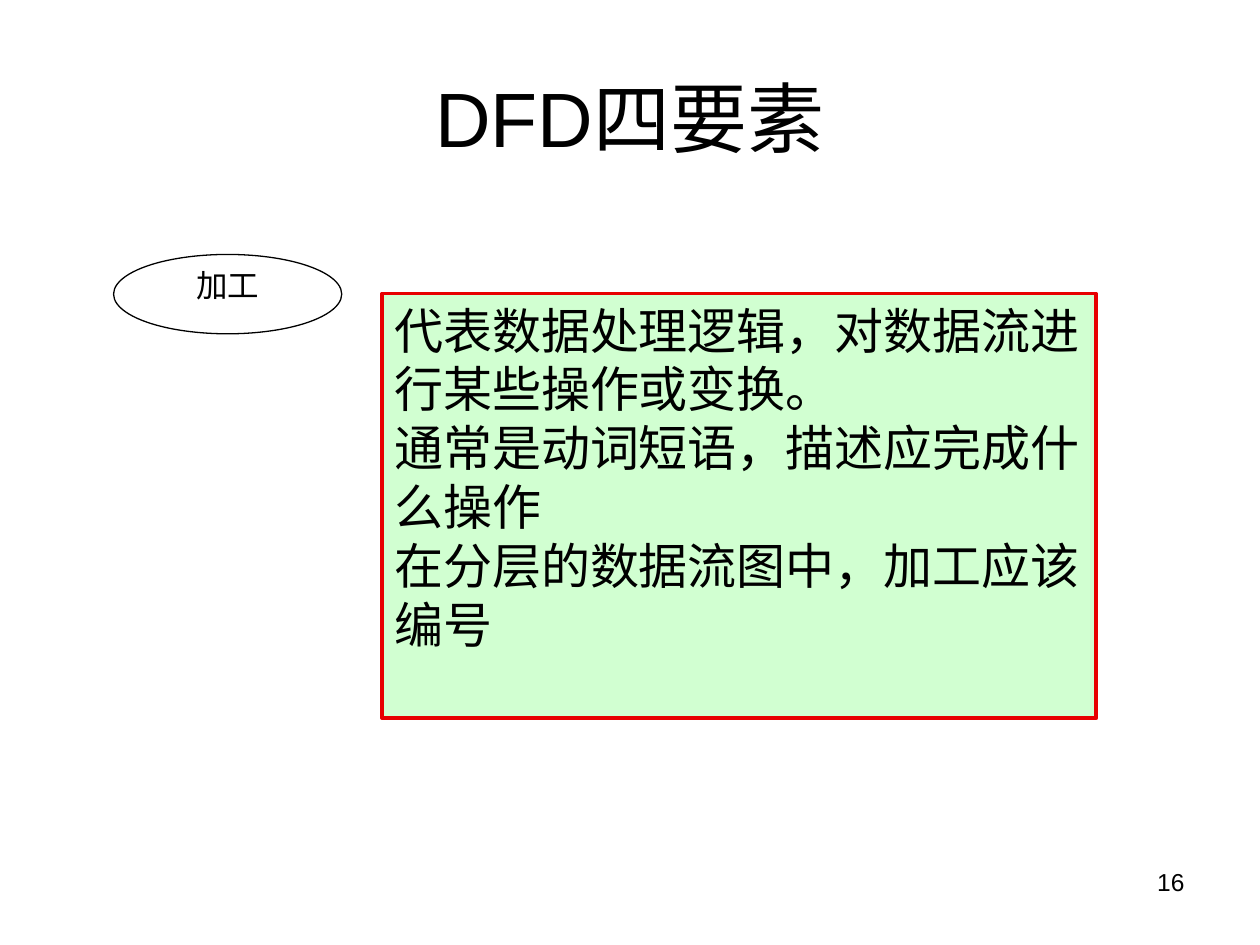
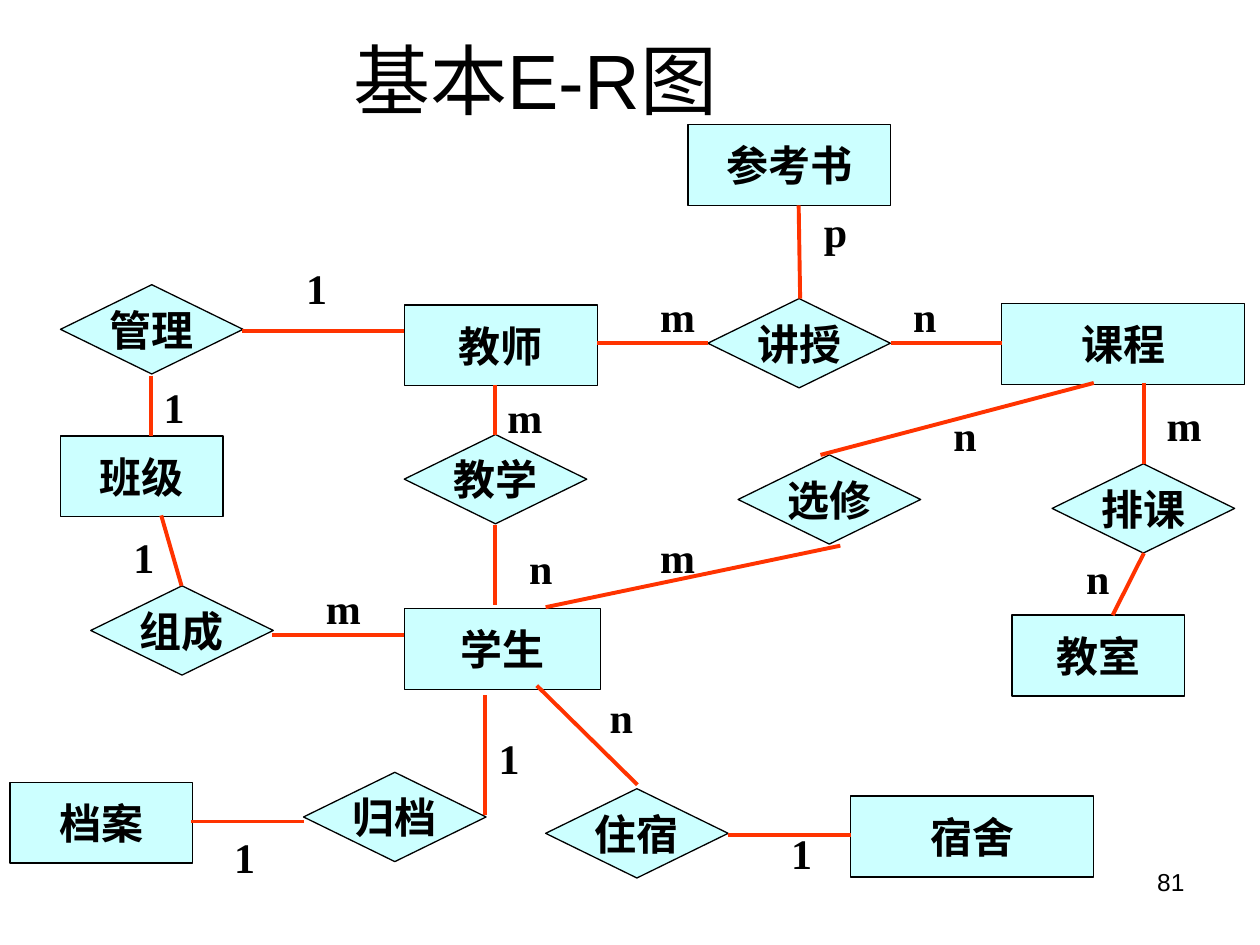
"""Build two slides: the process element of a DFD and a basic E-R diagram."""
import pptx
import pptx.dml.color
import pptx.enum.shapes
import pptx.enum.text
import pptx.oxml.xmlchemy
import pptx.util
from pptx.util import Cm

COLORS = {"text": "000000", "outline": "000000", "ellipse": "FFFFFF", "note": "D1FFD1",
          "note_border": "E70000", "node": "CCFFFF", "link": "FF3300"}
SANS, SERIF = "Arial", "Times New Roman"
SHAPES = pptx.enum.shapes.MSO_SHAPE
ALIGN = pptx.enum.text.PP_ALIGN
ANCHOR = pptx.enum.text.MSO_ANCHOR
NO_MARGIN, MARGINS = (0, 0), (0.25, 0.13)

PROCESS_NAME = "加工"
PROCESS_NOTES = [
    "代表数据处理逻辑，对数据流进行某些操作或变换。",
    "通常是动词短语，描述应完成什么操作",
    "在分层的数据流图中，加工应该编号",
]

ENTITY_HEIGHT = 1.63
ENTITIES = [
    ("学生", 8.15, 12.27, 3.96),
    ("教师", 8.15, 6.15, 3.89),
    ("宿舍", 17.15, 16.05, 4.9),
    ("班级", 1.22, 8.79, 3.28),
    ("档案", 0.2, 15.77, 3.68),
    ("教室", 20.4, 12.4, 3.48),
    ("参考书", 13.87, 2.51, 4.09),
    ("课程", 20.19, 6.12, 4.9),
]

RELATION_SIZE = (3.68, 1.8)
RELATIONS = [
    ("教学", 8.15, 8.76),
    ("组成", 1.83, 11.81),
    ("住宿", 11, 15.9),
    ("归档", 6.12, 15.57),
    ("讲授", 14.27, 6.02),
    ("选修", 14.88, 9.17),
    ("排课", 21.21, 9.35),
    ("管理", 1.22, 5.74),
]

LABEL_HEIGHT = 1.27
NARROW, MEDIUM, WIDE = 0.81, 1.02, 1.37
LINKS = [
    ((6.12, 16.56), (3.86, 16.56), "1", (4.47, 16.64), NARROW),
    ((9.78, 14.02), (9.78, 16.43), "1", (9.58, 14.63), WIDE),
    ((10.82, 13.82), (12.85, 15.82), "n", (12.04, 13.82), NARROW),
    ((14.68, 16.84), (17.15, 16.84), "1", (15.7, 16.56), NARROW),
    ((9.98, 7.77), (9.98, 8.76), "m", (9.98, 7.77), NARROW),
    ((9.98, 10.59), (9.98, 12.19), "n", (10.39, 10.8), MEDIUM),
    ((16.1, 4.14), (16.13, 6.02), "p", (16.36, 4.01), NARROW),
    ((22.05, 7.72), (16.54, 9.17), "n", (18.97, 8.13), NARROW),
    ((12.04, 6.91), (14.27, 6.91), "m", (13.06, 5.72), NARROW),
    ((17.96, 6.91), (20.19, 6.91), "n", (18.16, 5.72), NARROW),
    ((23.06, 7.72), (23.06, 9.35), "m", (23.27, 7.92), NARROW),
    ((23.06, 11.15), (22.43, 12.4), "n", (21.62, 11), MEDIUM),
    ((16.94, 11), (11, 12.24), "m", (13.06, 10.59), NARROW),
    ((3.25, 10.39), (3.66, 11.81), "1", (2.44, 10.59), NARROW),
    ((8.15, 12.8), (5.49, 12.8), "m", (6.32, 11.61), NARROW),
    ((8.15, 6.68), (4.88, 6.68), "1", (5.92, 5.16), NARROW),
    ((3.05, 7.57), (3.05, 8.79), "1", (3.05, 7.57), NARROW),
]


def rgb(name):
    return pptx.dml.color.RGBColor.from_string(COLORS[name])


def write(shape, lines, size, font=SANS, bold=False, align=ALIGN.CENTER,
          anchor=ANCHOR.TOP, margins=MARGINS, wrap=True):
    frame = shape.text_frame
    frame.text = "\n".join(lines)
    frame.auto_size = pptx.enum.text.MSO_AUTO_SIZE.NONE
    frame.word_wrap = wrap
    frame.vertical_anchor = anchor
    frame.margin_left = frame.margin_right = Cm(margins[0])
    frame.margin_top = frame.margin_bottom = Cm(margins[1])
    for paragraph in frame.paragraphs:
        paragraph.alignment = align
        for run in paragraph.runs:
            run.font.name = font
            run.font.size = pptx.util.Pt(size)
            run.font.bold = bold
            run.font.color.rgb = rgb("text")


def add_box(slide, kind, box, fill, border="outline", width=0.75):
    shape = slide.shapes.add_shape(kind, *map(Cm, box))
    shape.shadow.inherit = False
    shape.fill.solid()
    shape.fill.fore_color.rgb = rgb(fill)
    shape.line.color.rgb = rgb(border)
    shape.line.width = pptx.util.Pt(width)
    return shape


def add_text(slide, box, text, size, **style):
    write(slide.shapes.add_textbox(*map(Cm, box)), [text], size, **style)


def add_link(slide, start, end):
    connector = slide.shapes.add_connector(
        pptx.enum.shapes.MSO_CONNECTOR.STRAIGHT, *map(Cm, start + end))
    connector.line.color.rgb = rgb("link")
    connector.line.width = pptx.util.Pt(2.25)
    properties = connector.element.spPr
    properties.append(pptx.oxml.xmlchemy.OxmlElement("a:effectLst"))


def add_titled_slide(presentation, title, box, number):
    slide = presentation.slides.add_slide(presentation.slide_layouts[5])
    placeholder = slide.shapes.title
    placeholder.left, placeholder.top, placeholder.width, placeholder.height = map(Cm, box)
    write(placeholder, [title], 44, anchor=ANCHOR.MIDDLE)
    add_text(slide, (18.2, 17.35, 5.93, 1.32), number, 14, align=ALIGN.RIGHT)
    return slide


def build_process_slide(presentation):
    slide = add_titled_slide(presentation, "DFD四要素", (1.27, 0.76, 22.86, 3.18), "16")
    ellipse = add_box(slide, SHAPES.OVAL, (2.29, 5.13, 4.6, 1.6), "ellipse")
    write(ellipse, [PROCESS_NAME], 18, font=SERIF, margins=NO_MARGIN)
    note = add_box(slide, SHAPES.RECTANGLE, (7.7, 5.92, 14.4, 8.56), "note", "note_border", 2)
    write(note, PROCESS_NOTES, 28, align=ALIGN.LEFT)


def build_er_slide(presentation):
    slide = add_titled_slide(presentation, "基本E-R图", (0, 0, 21.59, 3.18), "81")
    nodes = [(SHAPES.RECTANGLE, name, (left, top, width, ENTITY_HEIGHT))
             for name, left, top, width in ENTITIES]
    nodes += [(SHAPES.FLOWCHART_DECISION, name, (left, top, *RELATION_SIZE))
              for name, left, top in RELATIONS]
    for kind, name, box in nodes:
        node = add_box(slide, kind, box, "node")
        write(node, [name], 24, font=SERIF, bold=True, anchor=ANCHOR.MIDDLE, wrap=False)
    for start, end, label, corner, width in LINKS:
        add_link(slide, start, end)
        add_text(slide, (*corner, width, LABEL_HEIGHT), label, 24, font=SERIF, bold=True)


def main():
    presentation = pptx.Presentation()
    presentation.slide_width, presentation.slide_height = Cm(25.4), Cm(19.05)
    build_process_slide(presentation)
    build_er_slide(presentation)
    presentation.save("out.pptx")


if __name__ == "__main__":
    main()
